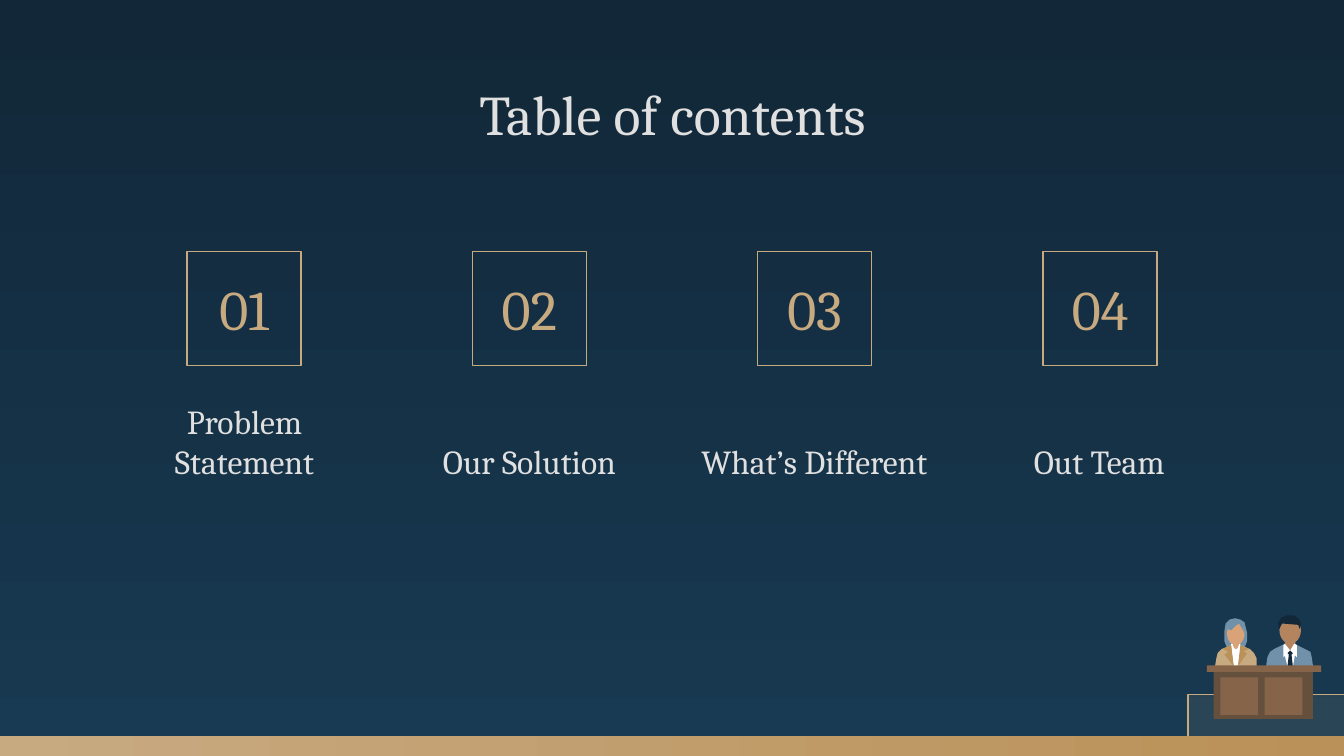
from pptx import Presentation
from pptx.dml.color import RGBColor
from pptx.enum.shapes import MSO_SHAPE
from pptx.enum.text import MSO_ANCHOR, PP_ALIGN
from pptx.oxml.ns import qn
from pptx.util import Inches, Pt
from lxml import etree

RECTANGLE, OVAL = MSO_SHAPE.RECTANGLE, MSO_SHAPE.OVAL
TOP, MIDDLE, BOTTOM = MSO_ANCHOR.TOP, MSO_ANCHOR.MIDDLE, MSO_ANCHOR.BOTTOM
CENTER = PP_ALIGN.CENTER

NAVY = RGBColor(0x12, 0x27, 0x38)
BLUE = RGBColor(0x18, 0x3A, 0x52)
STEEL = RGBColor(0x70, 0x91, 0xA9)
SAND = RGBColor(0xC8, 0xAA, 0x81)
GOLD = RGBColor(0xBA, 0x91, 0x58)
LIGHT = RGBColor(0xE0, 0xE0, 0xE0)
WHITE = RGBColor(0xFF, 0xFF, 0xFF)
TAN = RGBColor(0xB3, 0x84, 0x5D)
PEACH = RGBColor(0xD9, 0xA3, 0x77)
DARK_WOOD = RGBColor(0x65, 0x50, 0x3E)
WOOD = RGBColor(0x85, 0x64, 0x49)

CONTENTS = ["Problem\nStatement", "Our Solution", "What’s Different", "Out Team"]
FIRST_SQUARE, LAST_SQUARE = 1.39, 7.76
FIRST_HEADING, LAST_HEADING = 0.79, 7.15


def fill_gradient(fill, first, last, angle):
    fill.gradient()
    fill.gradient_angle = angle
    for stop, color in zip(fill.gradient_stops, (first, last)):
        stop.color.rgb = color


def spread(first, last, index, count):
    return first + (last - first) * index / (count - 1)


def write_text(shape, text, size=18, color=LIGHT, anchor=BOTTOM, font="Cambria"):
    frame = shape.text_frame
    frame.word_wrap = True
    frame.vertical_anchor = anchor
    frame.margin_left = frame.margin_right = Inches(0.1)
    frame.margin_top = frame.margin_bottom = Inches(0.1)
    paragraph = frame.paragraphs[0]
    paragraph.text = text
    paragraph.alignment = CENTER
    for run in paragraph.runs:
        run.font.name = font
        run.font.size = Pt(size)
        run.font.color.rgb = color


class SlideBuilder:
    def __init__(self, slide):
        self.slide = slide

    def paint(self, shape, fill, line=None):
        shape.shadow.inherit = False
        if fill is None:
            shape.fill.background()
        else:
            shape.fill.solid()
            shape.fill.fore_color.rgb = fill
        if line is None:
            shape.line.fill.background()
        else:
            shape.line.color.rgb = line
            shape.line.width = Pt(0.75)
        return shape

    def shape(self, left, top, width, height, fill=None, line=None, kind=RECTANGLE):
        box = [Inches(value) for value in (left, top, width, height)]
        return self.paint(self.slide.shapes.add_shape(kind, *box), fill, line)

    def polygon(self, points, fill):
        start, *rest = [(Inches(x), Inches(y)) for x, y in points]
        builder = self.slide.shapes.build_freeform(*start)
        builder.add_line_segments(rest, close=True)
        return self.paint(builder.convert_to_shape(), fill)

    def text(self, left, top, width, height, text, **style):
        box = [Inches(value) for value in (left, top, width, height)]
        write_text(self.slide.shapes.add_textbox(*box), text, **style)


def draw_man(builder):
    builder.polygon([(9.56, 4.7), (9.63, 4.7), (9.64, 4.8), (9.6, 4.86), (9.56, 4.8)], TAN)
    builder.polygon([(9.56, 4.79), (9.48, 4.83), (9.45, 4.85), (9.43, 4.89), (9.42, 4.96),
                     (9.77, 4.96), (9.76, 4.89), (9.75, 4.85), (9.71, 4.83), (9.63, 4.79),
                     (9.6, 4.85)], STEEL)
    builder.polygon([(9.55, 4.84), (9.58, 4.96), (9.62, 4.96), (9.64, 4.84)], WHITE)
    builder.polygon([(9.56, 4.79), (9.55, 4.8), (9.55, 4.89), (9.6, 4.84), (9.65, 4.89),
                     (9.65, 4.8), (9.63, 4.79), (9.6, 4.84)], WHITE)
    builder.polygon([(9.6, 4.84), (9.58, 4.86), (9.59, 4.87), (9.58, 4.96), (9.62, 4.96),
                     (9.61, 4.87), (9.62, 4.86)], NAVY)
    builder.shape(9.52, 4.59, 0.16, 0.2, TAN, kind=OVAL)
    builder.polygon([(9.52, 4.68), (9.51, 4.64), (9.53, 4.6), (9.57, 4.58), (9.63, 4.58),
                     (9.67, 4.61), (9.68, 4.65), (9.67, 4.68), (9.66, 4.65), (9.54, 4.64)], NAVY)


def draw_woman(builder):
    builder.polygon([(9.13, 4.82), (9.11, 4.77), (9.11, 4.7), (9.12, 4.64), (9.15, 4.61),
                     (9.19, 4.6), (9.23, 4.61), (9.26, 4.63), (9.28, 4.71), (9.28, 4.77),
                     (9.26, 4.82)], STEEL)
    builder.polygon([(9.16, 4.8), (9.09, 4.83), (9.06, 4.86), (9.05, 4.9), (9.04, 4.96),
                     (9.35, 4.96), (9.35, 4.9), (9.33, 4.86), (9.3, 4.83), (9.23, 4.8)], SAND)
    builder.polygon([(9.16, 4.79), (9.23, 4.79), (9.22, 4.96), (9.18, 4.96)], WHITE)
    builder.shape(9.17, 4.72, 0.05, 0.11, PEACH, kind=OVAL)
    builder.polygon([(9.16, 4.8), (9.1, 4.83), (9.14, 4.85), (9.11, 4.87), (9.18, 4.96)], GOLD)
    builder.polygon([(9.23, 4.8), (9.29, 4.83), (9.25, 4.85), (9.28, 4.86), (9.21, 4.96)], GOLD)
    builder.shape(9.13, 4.63, 0.13, 0.17, PEACH, kind=OVAL)
    builder.polygon([(9.13, 4.68), (9.14, 4.63), (9.19, 4.61), (9.24, 4.63), (9.26, 4.71),
                     (9.22, 4.64), (9.19, 4.66), (9.16, 4.69)], STEEL)


def draw_desk(builder):
    builder.shape(9.03, 4.99, 0.74, 0.36, DARK_WOOD)
    for left in (9.08, 9.41):
        builder.shape(left, 5.04, 0.28, 0.28, WOOD)
    builder.shape(8.98, 4.95, 0.85, 0.05, WOOD)


def main():
    presentation = Presentation()
    # Widescreen, 16:9
    presentation.slide_width = Inches(10)
    presentation.slide_height = Inches(10 * 9 / 16)
    slide = presentation.slides.add_slide(presentation.slide_layouts[6])
    fill_gradient(slide.background.fill, NAVY, BLUE, 270)
    builder = SlideBuilder(slide)

    # Corner scene: translucent panel, speakers, desk
    panel = builder.shape(8.84, 5.17, 1.18, 0.46, SAND, SAND)
    color = panel.fill._xPr.find(qn("a:solidFill"))[0]
    etree.SubElement(color, qn("a:alpha"), val="10000")
    draw_man(builder)
    draw_woman(builder)
    draw_desk(builder)

    # Bottom bar
    bar = builder.shape(0, 5.48, 10, 0.15, SAND)
    fill_gradient(bar.fill, SAND, GOLD, 0)

    # Title
    builder.text(0.79, 0.49, 8.43, 0.63, "Table of contents", size=30, anchor=TOP)

    # Numbered sections
    count = len(CONTENTS)
    for index, heading in enumerate(CONTENTS):
        left = spread(FIRST_SQUARE, LAST_SQUARE, index, count)
        square = builder.shape(left, 1.87, 0.85, 0.85, line=SAND)
        write_text(square, f"{index + 1:02}", size=30, color=SAND, anchor=MIDDLE)
        left = spread(FIRST_HEADING, LAST_HEADING, index, count)
        builder.text(left, 2.83, 2.06, 0.85, heading)

    presentation.save("out.pptx")


if __name__ == "__main__":
    main()
